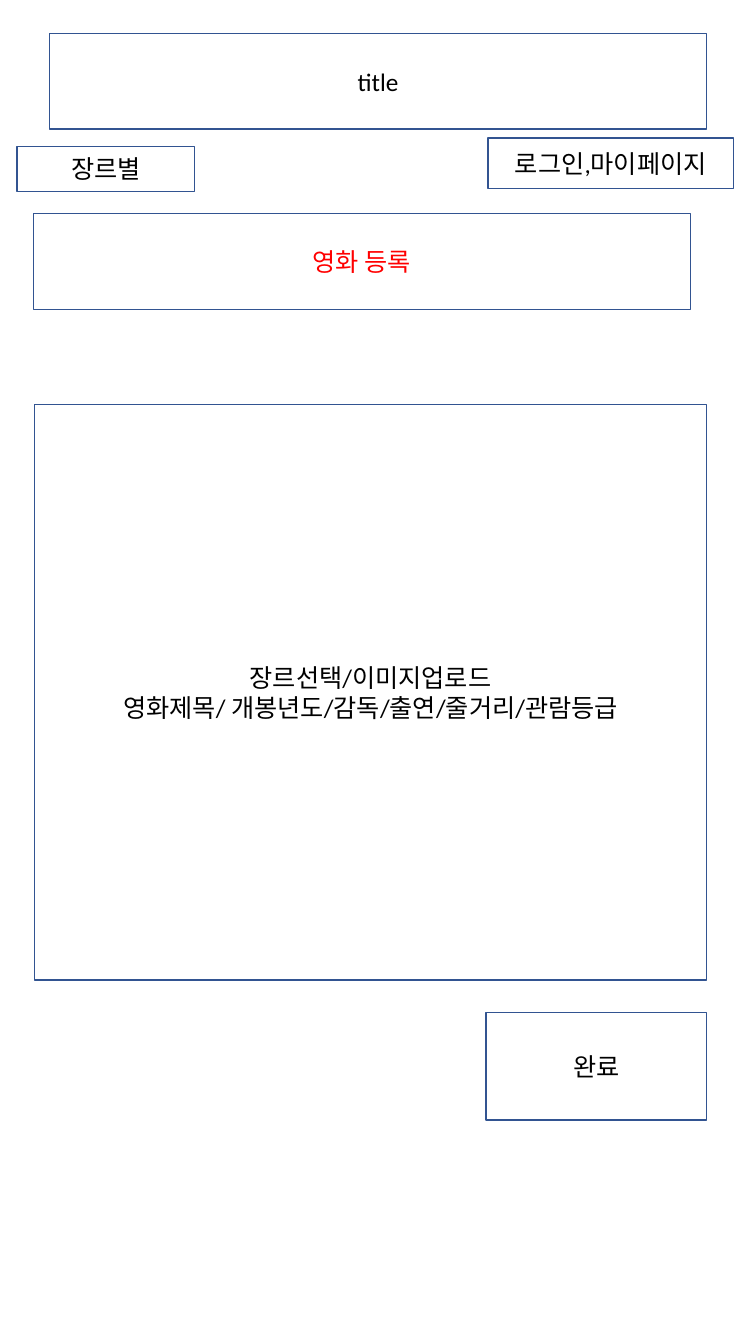
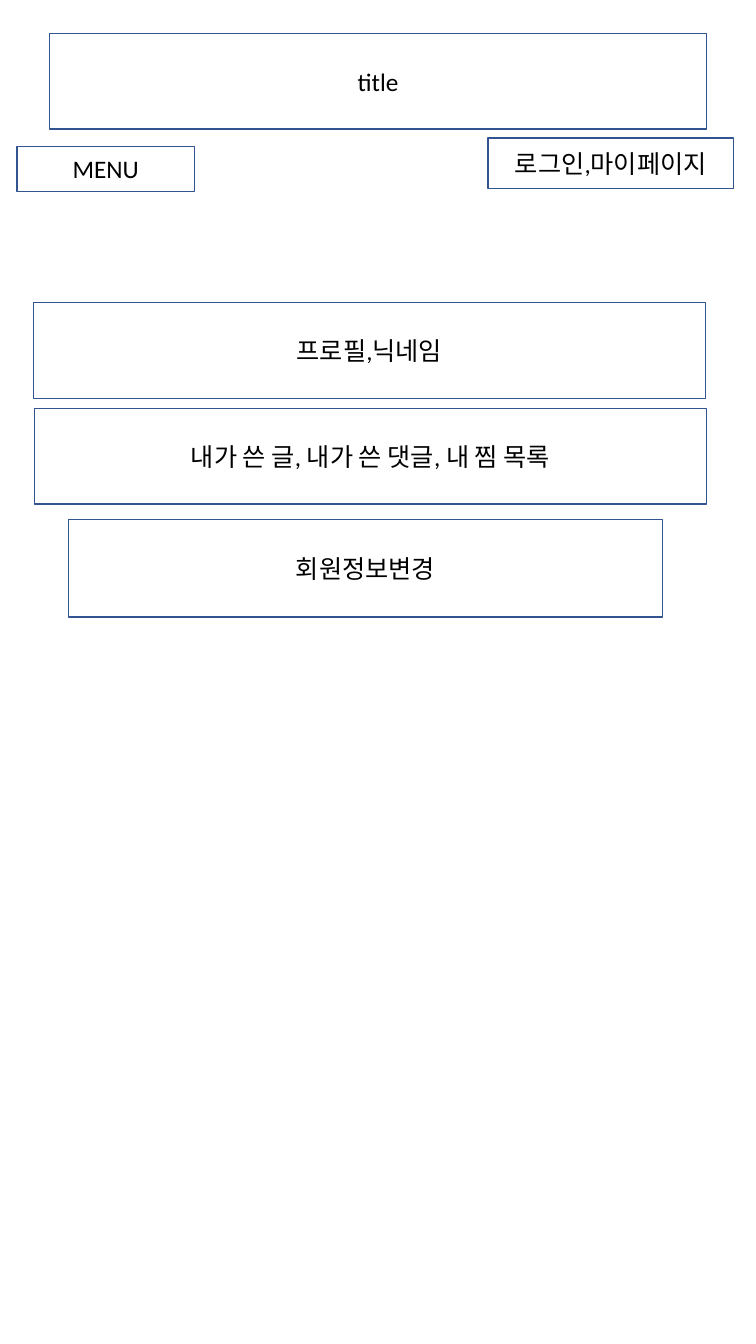
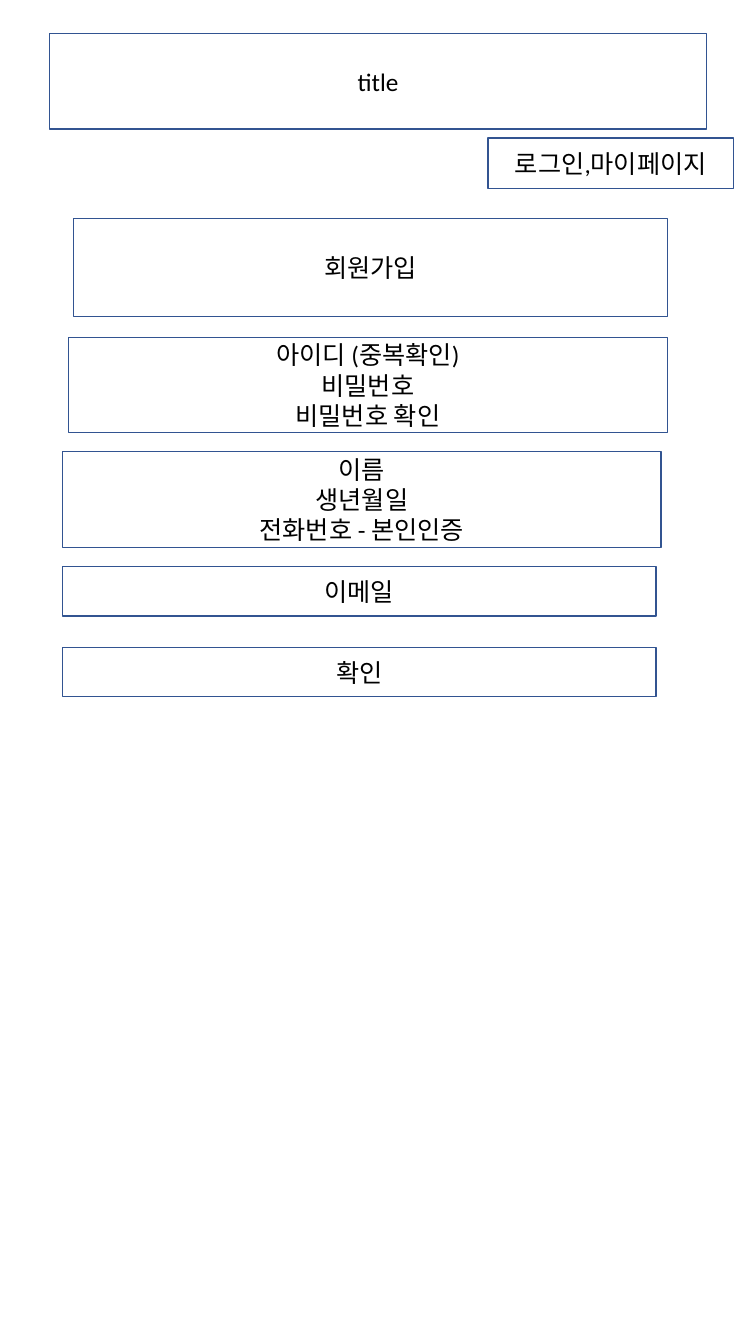
from dataclasses import dataclass

from pptx import Presentation
from pptx import util as u
from pptx.dml import color
from pptx.enum import shapes, text


@dataclass(frozen=True)
class Theme:
    paper: str = "FFFFFF"
    outline: str = "325491"
    ink: str = "000000"
    accent: str = "FF0000"
    font: str = "Calibri"
    text_size: int = 18
    outline_width: int = 1


THEME = Theme()
SLIDE_SIZE = (7.5, 13.33)
TITLE_AREA = (0.49, 0.33, 6.52, 0.95)
MENU_AREA = (0.17, 1.45, 1.76, 0.45)
ACCOUNT_AREA = (4.84, 1.37, 2.44, 0.5)

PAGES = [
    {
        "menu": "장르별",
        "panels": [
            ((0.33, 2.12, 6.52, 0.95), ["영화 등록"], THEME.accent),
            (
                (0.34, 4.01, 6.67, 5.71),
                ["장르선택/이미지업로드", "영화제목/ 개봉년도/감독/출연/줄거리/관람등급"],
                THEME.ink,
            ),
            ((4.82, 10.04, 2.19, 1.07), ["완료"], THEME.ink),
        ],
    },
    {
        "menu": "MENU",
        "panels": [
            ((0.33, 3, 6.67, 0.95), ["프로필,닉네임"], THEME.ink),
            ((0.34, 4.05, 6.67, 0.95), ["내가 쓴 글, 내가 쓴 댓글, 내 찜 목록"], THEME.ink),
            ((0.68, 5.15, 5.89, 0.97), ["회원정보변경"], THEME.ink),
        ],
    },
    {
        "menu": None,
        "panels": [
            ((0.73, 2.17, 5.89, 0.97), ["회원가입"], THEME.ink),
            (
                (0.68, 3.35, 5.94, 0.94),
                ["아이디 (중복확인)", "비밀번호", "비밀번호 확인"],
                THEME.ink,
            ),
            (
                (0.62, 4.48, 5.94, 0.95),
                ["이름", "생년월일", "전화번호 - 본인인증"],
                THEME.ink,
            ),
            ((0.62, 5.62, 5.89, 0.49), ["이메일"], THEME.ink),
            ((0.62, 6.42, 5.89, 0.49), ["확인"], THEME.ink),
        ],
    },
]


def apply_format(target, values):
    for name, value in values.items():
        setattr(target, name, value)


def paint(fill, shade):
    fill.solid()
    fill.fore_color.rgb = color.RGBColor.from_string(shade)


def add_panel(slide, area, lines, ink=THEME.ink):
    panel = slide.shapes.add_shape(
        shapes.MSO_SHAPE.RECTANGLE, *(u.Inches(length) for length in area)
    )
    panel.shadow.inherit = False
    paint(panel.fill, THEME.paper)
    paint(panel.line.fill, THEME.outline)
    panel.line.width = u.Pt(THEME.outline_width)

    wording = panel.text_frame
    wording.text = "\n".join(lines)
    apply_format(
        wording, {"word_wrap": True, "vertical_anchor": text.MSO_ANCHOR.MIDDLE}
    )
    for line in wording.paragraphs:
        line.alignment = text.PP_ALIGN.CENTER
        for run in line.runs:
            apply_format(
                run.font, {"name": THEME.font, "size": u.Pt(THEME.text_size)}
            )
            paint(run.font.fill, ink)


def add_header(slide, menu):
    add_panel(slide, TITLE_AREA, ["title"])
    if menu:
        add_panel(slide, MENU_AREA, [menu])
    add_panel(slide, ACCOUNT_AREA, ["로그인,마이페이지"])


def add_page(deck, page):
    slide = deck.slides.add_slide(deck.slide_layouts[6])
    paint(slide.background.fill, THEME.paper)
    add_header(slide, page["menu"])
    for area, lines, ink in page["panels"]:
        add_panel(slide, area, lines, ink)


def main():
    deck = Presentation()
    deck.slide_width, deck.slide_height = map(u.Inches, SLIDE_SIZE)
    for page in PAGES:
        add_page(deck, page)
    deck.save("out.pptx")


if __name__ == "__main__":
    main()
